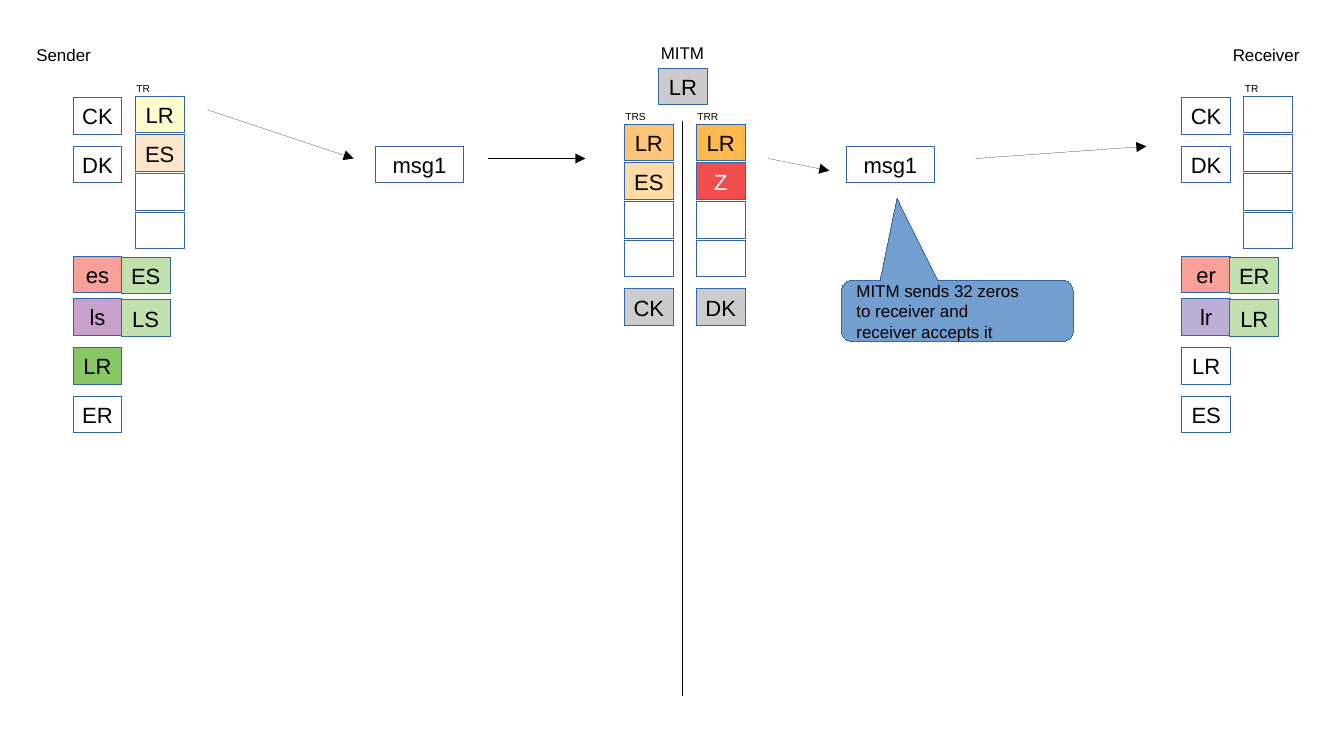
import pptx
import pptx.util
import pptx.dml.color
import pptx.enum.shapes
import pptx.enum.text
import pptx.oxml.ns
import lxml.etree

COLUMNS, ROWS = 110.2, 62
CELL_WIDTH, CELL_HEIGHT = 4, 3
REGISTER_STEP = 3.17
WHITE, BLACK, GRAY, GREEN = "FFFFFF", "000000", "CCCCCC", "C2E0AE"
OUTLINE = "3465A4"
HAIRLINE = pptx.util.Emu(1)
SHAPES = pptx.enum.shapes.MSO_SHAPE


def grid(units):
    return pptx.util.Inches(units / 10)


def color(value):
    return pptx.dml.color.RGBColor.from_string(value)


def write(shape, text, size, font_color=BLACK, align=pptx.enum.text.PP_ALIGN.LEFT):
    text_frame = shape.text_frame
    text_frame.text = text
    for paragraph in text_frame.paragraphs:
        paragraph.alignment = align
        for run in paragraph.runs:
            run.font.name = "Arial"
            run.font.size = pptx.util.Pt(size)
            run.font.color.rgb = color(font_color)


def add_label(slide, left, top, width, text, size):
    label = slide.shapes.add_textbox(grid(left), grid(top), grid(width), grid(3))
    label.text_frame.word_wrap = True
    write(label, text, size)


def add_box(slide, left, top, width, height, fill, preset=SHAPES.RECTANGLE):
    shape = slide.shapes.add_shape(
        preset, grid(left), grid(top), grid(width), grid(height))
    shape.shadow.inherit = False
    shape.fill.solid()
    shape.fill.fore_color.rgb = color(fill)
    shape.line.color.rgb = color(OUTLINE)
    shape.line.width = HAIRLINE
    shape.text_frame.vertical_anchor = pptx.enum.text.MSO_ANCHOR.MIDDLE
    return shape


def add_cell(slide, left, top, text="", fill=WHITE, font_color=BLACK, width=CELL_WIDTH):
    shape = add_box(slide, left, top, width, CELL_HEIGHT, fill)
    shape.text_frame.word_wrap = False
    if text:
        write(shape, text, 13, font_color, pptx.enum.text.PP_ALIGN.CENTER)


def add_line(slide, start, end, arrow=True):
    line = slide.shapes.add_connector(
        pptx.enum.shapes.MSO_CONNECTOR.STRAIGHT, *map(grid, start + end))
    line.line.color.rgb = color(BLACK)
    line.line.width = HAIRLINE
    properties = line._element.spPr
    if arrow:
        head = lxml.etree.SubElement(
            line.line._get_or_add_ln(), pptx.oxml.ns.qn("a:tailEnd"))
        head.set("type", "triangle")
    lxml.etree.SubElement(properties, pptx.oxml.ns.qn("a:effectLst"))


def add_register(slide, left, top, title, cells):
    add_label(slide, left - 0.9, top - 1.65, CELL_WIDTH, title, 6)
    for index, cell in enumerate(cells):
        add_cell(slide, left, top + index * REGISTER_STEP, *cell)


def add_party(slide, left, top, register, key_pairs, known_keys):
    add_register(slide, left + 5.1, top - 0.1, "TR", register)
    for index, text in enumerate(("CK", "DK")):
        add_cell(slide, left, top + 4 * index, text)
    for index, (secret, fill, public) in enumerate(key_pairs):
        pair_top = top + 13 + 3.5 * index
        add_cell(slide, left, pair_top, secret, fill)
        add_cell(slide, left + 3.95, pair_top + 0.1, public, GREEN)
    for index, (text, fill) in enumerate(known_keys):
        add_cell(slide, left, top + 20.5 + 4 * index, text, fill)


def add_mitm(slide, left, top):
    add_line(slide, (left + 4.8, 10), (left + 4.8, 57), arrow=False)
    add_label(slide, left + 2, top, 5.8, "MITM", 10)
    add_cell(slide, left + 2.8, top + 2.6, "LR", GRAY)
    registers = (
        ("TRS", [("LR", "FDC578"), ("ES", "FFDAA2"), (), ()], "CK"),
        ("TRR", [("LR", "FDB94D"), ("Z", "F04E4D", WHITE), (), ()], "DK"),
    )
    for index, (title, cells, key) in enumerate(registers):
        register_left = left + 5.9 * index
        add_register(slide, register_left, top + 7.2, title, cells)
        add_cell(slide, register_left, top + 20.7, key, GRAY)


def add_messages(slide, top):
    for left in (30.8, 69.4):
        add_cell(slide, left, top, "msg1", width=7.2)
    arrows = (
        ((17, -3), (29, 1)),
        ((40, 1), (48, 1)),
        ((63, 1), (68, 2)),
        ((80, 1), (94, 0)),
    )
    for (start_x, start_y), (end_x, end_y) in arrows:
        add_line(slide, (start_x, top + start_y), (end_x, top + end_y))


def add_callout(slide, left, top, width, height):
    callout = add_box(slide, left, top, width, height, "729FCF",
                      SHAPES.ROUNDED_RECTANGULAR_CALLOUT)
    for index, value in enumerate((-0.26, -1.85, 0.17)):
        callout.adjustments[index] = value
    callout.text_frame.word_wrap = True
    write(callout, "MITM sends 32 zeros\nto receiver and\nreceiver accepts it", 10)


def main():
    presentation = pptx.Presentation()
    presentation.slide_width = grid(COLUMNS)
    presentation.slide_height = grid(ROWS)
    slide = presentation.slides.add_slide(presentation.slide_layouts[6])
    add_label(slide, 2, 3.2, 11, "Sender", 10)
    add_label(slide, 100.1, 3.2, 10.1, "Receiver", 10)
    add_party(slide, 6, 8,
              [("LR", "FFFBCC"), ("ES", "FFE5CA"), (), ()],
              [("es", "F7A19A", "ES"), ("ls", "C7A0CB", "LS")],
              [("LR", "89C765"), ("ER", WHITE)])
    add_party(slide, 96.9, 8,
              [()] * 4,
              [("er", "F7A19A", "ER"), ("lr", "BCAED5", "LR")],
              [("LR", WHITE), ("ES", WHITE)])
    add_mitm(slide, 51.2, 3)
    add_messages(slide, 12)
    add_callout(slide, 69, 23, 19, 5)
    presentation.save("out.pptx")


if __name__ == "__main__":
    main()
